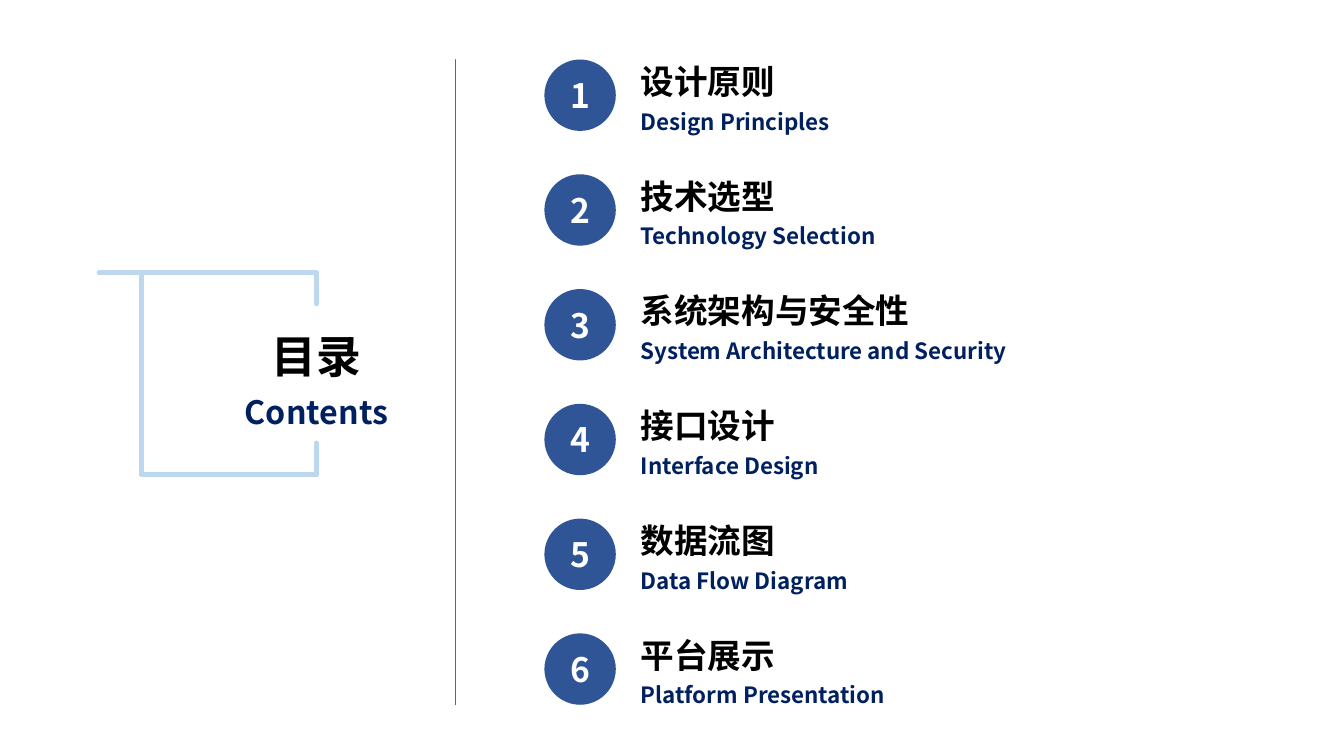
from lxml.etree import SubElement
from pptx import Presentation
from pptx.dml.color import RGBColor
from pptx.enum.shapes import MSO_CONNECTOR as Connector, MSO_SHAPE as Shape
from pptx.enum.text import MSO_ANCHOR as Anchor, PP_ALIGN as Align
from pptx.oxml.ns import qn
from pptx.util import Cm, Pt

FONT = "Noto Sans CJK SC"
COLORS = {
    "black": "000000",
    "navy": "002060",
    "circle": "2F5597",
    "frame": "BDD7EE",
    "divider": "666666",
    "white": "FFFFFF",
}
TOPICS = [
    ("设计原则", "Design Principles"),
    ("技术选型", "Technology Selection"),
    ("系统架构与安全性", "System Architecture and Security"),
    ("接口设计", "Interface Design"),
    ("数据流图", "Data Flow Diagram"),
    ("平台展示", "Platform Presentation"),
]


def color(name):
    return RGBColor.from_string(COLORS[name])


def format_paragraph(paragraph, size, color_name, align):
    paragraph.alignment = align
    for run in paragraph.runs:
        run.font.size = Pt(size)
        run.font.bold = True
        run.font.name = FONT
        run.font.color.rgb = color(color_name)
        SubElement(run.font._element, qn("a:ea"), typeface=FONT)


def add_line(slide, start, end, color_name, width):
    points = [Cm(value) for value in (*start, *end)]
    line = slide.shapes.add_connector(Connector.STRAIGHT, *points)
    line.line.color.rgb = color(color_name)
    line.line.width = Pt(width)
    line.line._ln.set("cap", "rnd")
    SubElement(line._element.spPr, qn("a:effectLst"))


def add_bilingual_text(slide, box, chinese, english, sizes, align):
    """Chinese heading with its English translation below."""
    text_box = slide.shapes.add_textbox(*(Cm(value) for value in box))
    frame = text_box.text_frame
    frame.word_wrap = True
    frame.text = f"{chinese}\n{english}"
    for paragraph, size, name in zip(frame.paragraphs, sizes, ("black", "navy")):
        paragraph.line_spacing = 1.25
        format_paragraph(paragraph, size, name, align)


def add_title_panel(slide, left, top, width, height):
    """Open frame with the page title over its right edge."""
    right, bottom = left + width, top + height
    overhang, stub = 1.07, 0.79
    for start, end in (
        ((left - overhang, top), (right, top)),
        ((left, bottom), (right, bottom)),
        ((left, top), (left, bottom)),
        ((right, top), (right, top + stub)),
        ((right, bottom - stub), (right, bottom)),
    ):
        add_line(slide, start, end, "frame", 3.25)
    title_width = 5.49
    box = (right - title_width / 2, top + 0.96, title_width, 3.25)
    add_bilingual_text(slide, box, "目录", "Contents", (32, 23), Align.CENTER)


def add_topic(slide, left, top, width, number, chinese, english):
    """Numbered circle with the topic name to its right."""
    diameter, text_offset = 1.8, 2.18
    circle = slide.shapes.add_shape(
        Shape.OVAL, Cm(left), Cm(top), Cm(diameter), Cm(diameter))
    circle.shadow.inherit = False
    circle.fill.solid()
    circle.fill.fore_color.rgb = color("circle")
    circle.line.fill.background()
    frame = circle.text_frame
    frame.margin_left = frame.margin_right = 0
    frame.vertical_anchor = Anchor.MIDDLE
    frame.text = str(number)
    format_paragraph(frame.paragraphs[0], 24, "white", Align.CENTER)
    box = (left + text_offset, top - 0.35, width - text_offset, 2.31)
    add_bilingual_text(slide, box, chinese, english, (24, 16), Align.LEFT)


def add_topic_list(slide, left, top, width, height):
    """Topics spread evenly over the height of the list."""
    pitch = (height - 1.8) / (len(TOPICS) - 1)
    for index, (chinese, english) in enumerate(TOPICS):
        add_topic(slide, left, top + index * pitch, width,
                  index + 1, chinese, english)


def main():
    presentation = Presentation()
    presentation.slide_width = Cm(33.87)
    presentation.slide_height = Cm(19.05)
    slide = presentation.slides.add_slide(presentation.slide_layouts[6])

    top, height = 1.5, 16.26
    add_title_panel(slide, 3.56, 6.87, 4.42, 5.08)
    add_line(slide, (11.48, top), (11.48, top + height), "divider", 0.5)
    add_topic_list(slide, 13.72, top, 16.6, height)

    presentation.save("out.pptx")


if __name__ == "__main__":
    main()
